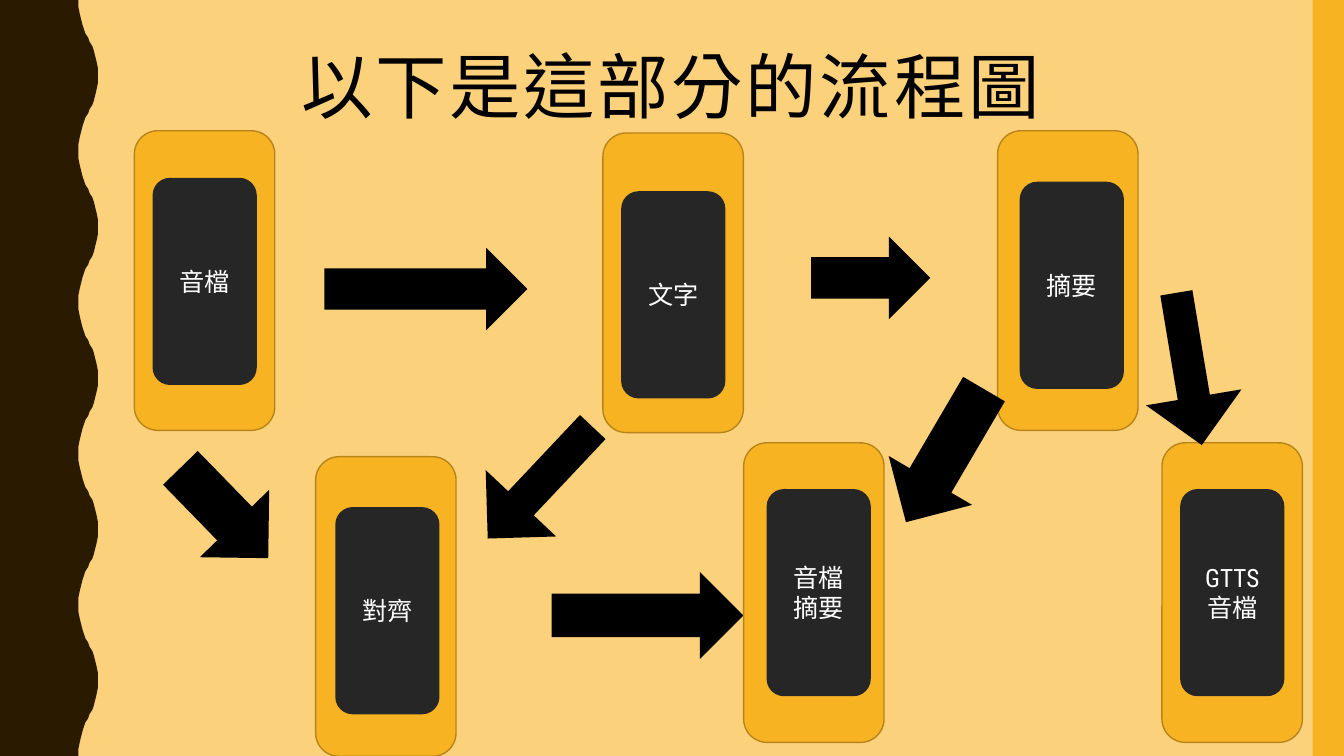
"""Build a slide with the flow chart from audio file to summary."""
from dataclasses import dataclass

from pptx import Presentation
from pptx.dml.color import RGBColor as Rgb
from pptx.enum.lang import MSO_LANGUAGE_ID as Lang
from pptx.enum.shapes import MSO_SHAPE as Kind
from pptx.enum.text import MSO_ANCHOR as Anchor, PP_ALIGN as Align
from pptx.shapes.autoshape import Shape
from pptx.slide import Slide
from pptx.text.text import TextFrame
from pptx.util import Pt


@dataclass(frozen=True)
class Theme:
    back: str = "FBD17B"
    wave: str = "2A1A00"
    gold: str = "F8B323"
    edge: str = "B7841A"
    dark: str = "262626"
    ink: str = "000000"
    pale: str = "FFFFFF"
    font: str = "Roboto Condensed"
    head: float = 51
    body: float = 18


@dataclass(frozen=True)
class Card:
    text: str
    left: float
    top: float
    dx: float
    dy: float


@dataclass(frozen=True)
class Arrow:
    left: float
    top: float
    width: float
    height: float
    turn: float = 0
    stem: float = 0.5


THEME = Theme()
WIDE, HIGH = 960, 540
CARD = (100.3, 214)
CORE = (74.4, 148)
WAVE = [
    (56.2, 0), (56.4, 5), (56.9, 10), (57.6, 14.4), (58.6, 18), (59.8, 21),
    (61.2, 24), (62.8, 27), (64.3, 30), (65.8, 33), (67.2, 36),
    (68.4, 39.6), (69.3, 44), (69.8, 49), (70, 54),
]
ITEMS: list[Card | Arrow] = [
    Arrow(231.7, 177, 145, 59),
    Arrow(115.2, 331.9, 90, 69.1, 45.8),
    Arrow(331.2, 310.3, 109.4, 69.1, 133.3, 0.363),
    Card("音檔", 96, 93.4, 13, 33.6),
    Card("文字", 430.7, 95, 13, 41.6),
    Card("對齊", 225.5, 326.2, 14, 36),
    Arrow(579.4, 169, 85, 59),
    Card("摘要", 712.6, 93.4, 15.8, 36.4),
    Arrow(394, 408.5, 137, 62.2),
    Arrow(619.9, 290.9, 110.2, 69.1, 120.4),
    Card("音檔摘要", 531.2, 316.3, 16.4, 33),
    Card("GTTS音檔", 830, 316.3, 13, 33),
    Arrow(794.2, 229, 110.2, 69.1, 80.5, 0.336),
]


def paint(shape: Shape, fill: str, edge: str = "") -> None:
    """Give a shape a flat fill and an optional thin edge."""
    shape.shadow.inherit = False
    shape.fill.solid()
    shape.fill.fore_color.rgb = Rgb.from_string(fill)
    if edge:
        shape.line.color.rgb = Rgb.from_string(edge)
        shape.line.width = Pt(1)
    else:
        shape.line.fill.background()


def block(slide: Slide, kind: Kind, left: float, top: float, width: float,
          height: float, fill: str, edge: str = "") -> Shape:
    """Add a painted preset shape."""
    shape = slide.shapes.add_shape(
        kind, Pt(left), Pt(top), Pt(width), Pt(height))
    paint(shape, fill, edge)
    return shape


def write(frame: TextFrame, text: str, size: float, tint: str,
          anchor: Anchor, gap: int = 0, lead: float = 1) -> None:
    """Write one centred run into a frame."""
    frame.word_wrap = True
    frame.vertical_anchor = anchor
    para = frame.paragraphs[0]
    para.alignment = Align.CENTER
    para.line_spacing = lead
    run = para.add_run()
    run.text = text
    font = run.font
    font.name = THEME.font
    font.size = Pt(size)
    font.color.rgb = Rgb.from_string(tint)
    font.language_id = Lang.TRADITIONAL_CHINESE
    if gap:
        run._r.get_or_add_rPr().set("spc", str(gap * 100))


def border(slide: Slide) -> None:
    """Draw the wavy left border and the right strip."""
    cycle = WAVE + [(x, 108 - y) for x, y in WAVE[-2::-1]]
    edge = [(x, y + 108 * turn) for turn in range(5) for x, y in cycle]
    form = slide.shapes.build_freeform(0, 0, scale=Pt(1))
    form.add_line_segments(edge + [(0, HIGH)], close=True)
    paint(form.convert_to_shape(), THEME.wave)
    block(slide, Kind.RECTANGLE, 937.6, 0, 22.4, HIGH, THEME.gold)


def title(slide: Slide, text: str) -> None:
    """Add the slide title."""
    box = slide.shapes.add_textbox(Pt(78.5), Pt(33.8), Pt(801.4), Pt(117.4))
    write(box.text_frame, text, THEME.head, THEME.ink, Anchor.TOP, 2, 0.9)


def card(slide: Slide, item: Card) -> None:
    """Draw a gold card with its dark labelled core."""
    kind = Kind.ROUNDED_RECTANGLE
    block(slide, kind, item.left, item.top, *CARD, THEME.gold, THEME.edge)
    core = block(slide, kind, item.left + item.dx, item.top + item.dy,
                 *CORE, THEME.dark)
    write(core.text_frame, item.text, THEME.body, THEME.pale, Anchor.MIDDLE)


def arrow(slide: Slide, item: Arrow) -> None:
    """Draw a block arrow."""
    shape = block(slide, Kind.RIGHT_ARROW, item.left, item.top,
                  item.width, item.height, THEME.ink)
    shape.rotation = item.turn
    shape.adjustments[0] = item.stem


def main() -> None:
    """Build and save the slide."""
    deck = Presentation()
    deck.slide_width, deck.slide_height = Pt(WIDE), Pt(HIGH)
    slide = deck.slides.add_slide(deck.slide_layouts[6])
    fill = slide.background.fill
    fill.solid()
    fill.fore_color.rgb = Rgb.from_string(THEME.back)
    border(slide)
    title(slide, "以下是這部分的流程圖")
    for item in ITEMS:
        if isinstance(item, Card):
            card(slide, item)
        else:
            arrow(slide, item)
    deck.save("out.pptx")


if __name__ == "__main__":
    main()
